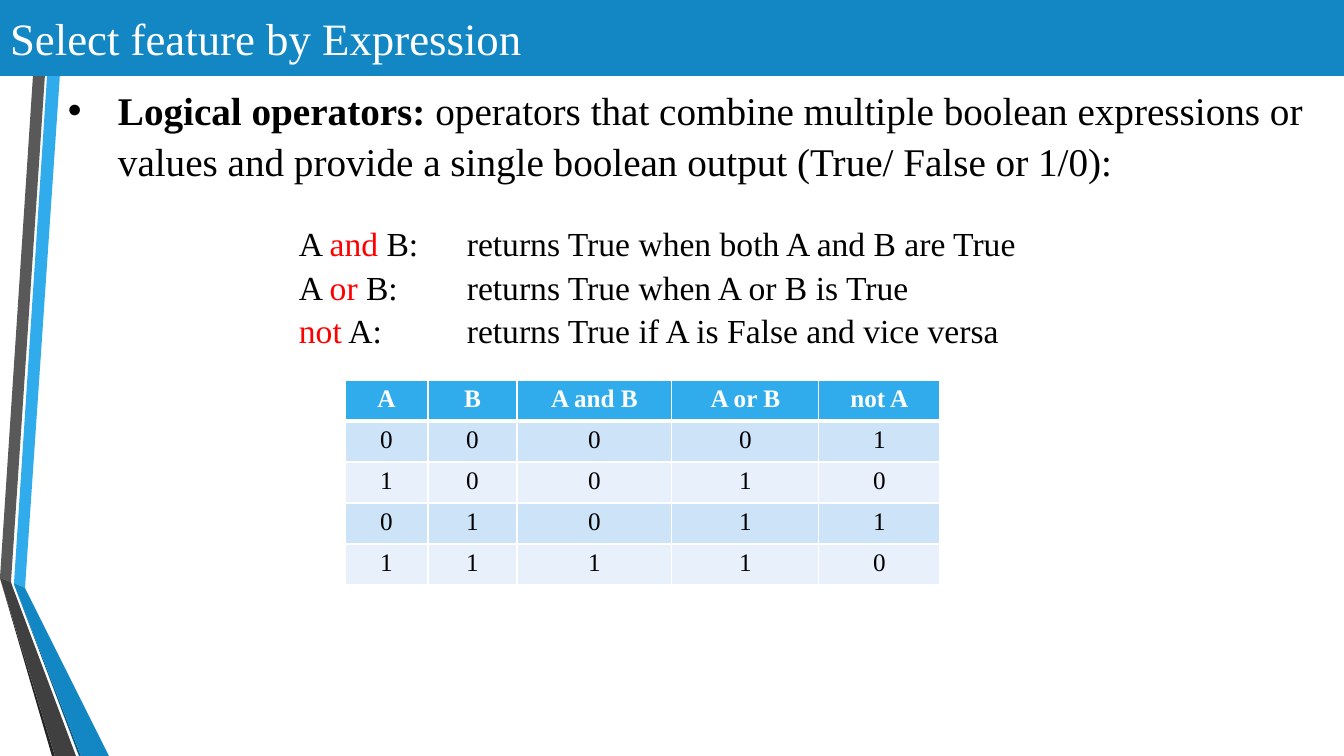
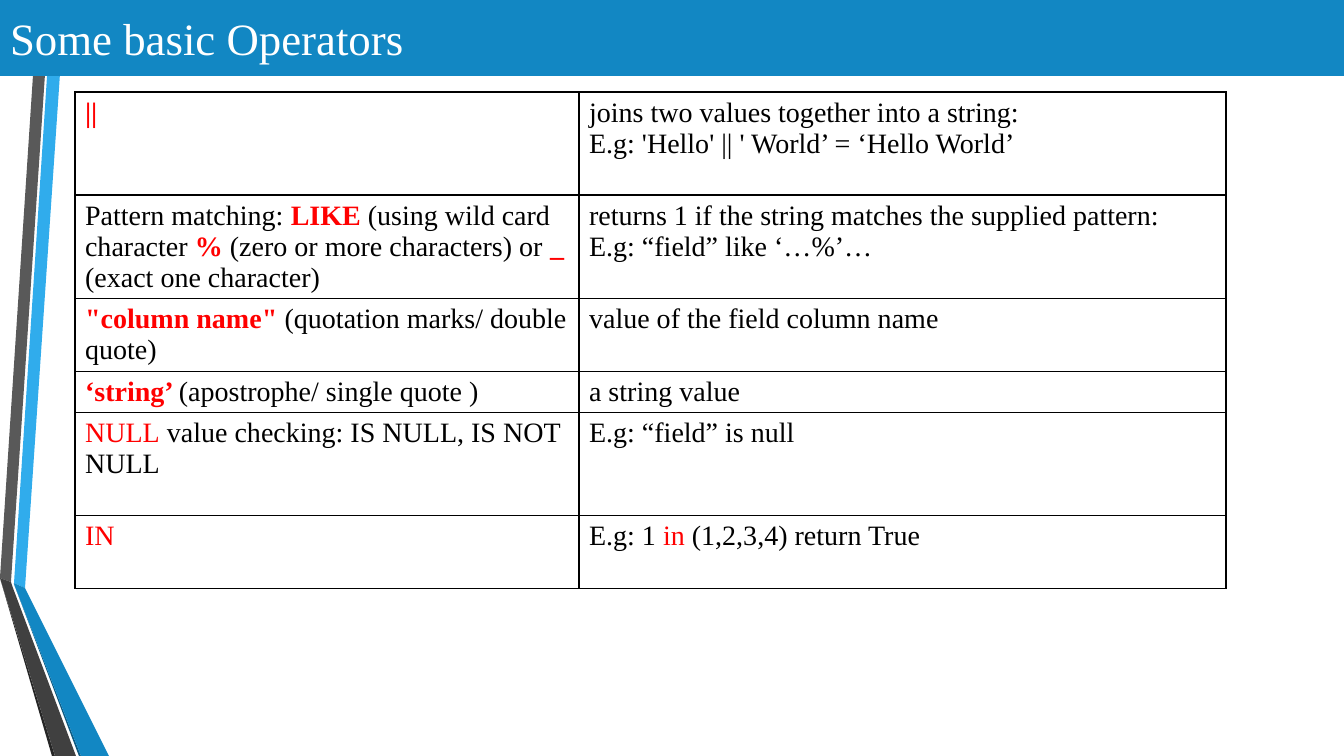
"""Build two slides on logical and basic operators in feature expressions."""
from dataclasses import dataclass

from lxml import etree
from pptx import Presentation
from pptx.dml.color import RGBColor
from pptx.enum.text import MSO_ANCHOR, MSO_AUTO_SIZE, PP_ALIGN
from pptx.oxml.ns import qn
from pptx.util import Emu, Pt

LEFT, CENTER = PP_ALIGN.LEFT, PP_ALIGN.CENTER
MIDDLE = MSO_ANCHOR.MIDDLE
NO_AUTOFIT = MSO_AUTO_SIZE.NONE
PX = 914400 / 100.8


@dataclass(frozen=True)
class Theme:
    font: str = "Times New Roman"
    band: RGBColor = RGBColor(0x12, 0x87, 0xC3)
    band_shade: RGBColor = RGBColor(0x0C, 0x5A, 0x82)
    sky: RGBColor = RGBColor(0x30, 0xAC, 0xEC)
    gray: RGBColor = RGBColor(0x59, 0x59, 0x59)
    dark_gray: RGBColor = RGBColor(0x40, 0x40, 0x40)
    gray_shade: RGBColor = RGBColor(0x26, 0x26, 0x26)
    row_odd: RGBColor = RGBColor(0xCD, 0xE3, 0xF8)
    row_even: RGBColor = RGBColor(0xE8, 0xF1, 0xFB)
    ink: RGBColor = RGBColor(0, 0, 0)
    white: RGBColor = RGBColor(0xFF, 0xFF, 0xFF)
    red: RGBColor = RGBColor(0xFF, 0, 0)
    title_size: int = 32
    lead_size: int = 28
    rule_size: int = 24
    operator_size: int = 20
    truth_size: int = 18
    text_spacing: float = 1.09


THEME = Theme()
PLAIN, BOLD = (THEME.ink, False), (THEME.ink, True)
KEY, KEY_BOLD = (THEME.red, False), (THEME.red, True)
HEADER = (THEME.white, True)
TITLE = (THEME.white, False)


def write(frame, lines, size, align=LEFT, spacing=None):
    """Fill a text frame with lines of (text, style) runs."""
    frame.word_wrap = True
    for index, line in enumerate(lines):
        paragraph = frame.add_paragraph() if index else frame.paragraphs[0]
        paragraph.alignment = align
        paragraph.line_spacing = spacing
        paragraph.font.name = THEME.font
        paragraph.font.size = Pt(size)
        for text, (color, bold) in line:
            run = paragraph.add_run()
            run.text = text
            run.font.color.rgb = color
            run.font.bold = bold


def add_grid(slide, left, top, widths, heights, color, header_rule=1):
    """Add a table with ruled cells and no banding."""
    table = slide.shapes.add_table(
        len(heights), len(widths), Emu(round(left * PX)), Emu(round(top * PX)),
        Emu(round(sum(widths) * PX)), Emu(round(sum(heights) * PX))).table
    table.first_row = table.horz_banding = False
    for column, width in zip(table.columns, widths):
        column.width = Emu(round(width * PX))
    for index, (row, height) in enumerate(zip(table.rows, heights)):
        row.height = Emu(round(height * PX))
        rules = {"L": 1, "R": 1, "T": header_rule if index == 1 else 1,
                 "B": header_rule if index == 0 else 1}
        for cell in row.cells:
            properties = cell._tc.get_or_add_tcPr()
            for side, points in rules.items():
                rule = etree.SubElement(properties, qn(f"a:ln{side}"), w=str(Pt(points)))
                fill = etree.SubElement(rule, qn("a:solidFill"))
                etree.SubElement(fill, qn("a:srgbClr"), val=str(color))
            cell.fill.background()
    return table


prs = Presentation()
prs.slide_width = Emu(round(1344 * PX))
prs.slide_height = Emu(round(756 * PX))
layout = prs.slide_layouts[5]

slides = []
for heading in ("Select feature by Expression", "Some basic Operators"):
    slide = prs.slides.add_slide(layout)
    title = slide.shapes.title
    title.left, title.top = Emu(0), Emu(0)
    title.width, title.height = prs.slide_width, Emu(round(76 * PX))
    title.fill.solid()
    title.fill.fore_color.rgb = THEME.band
    write(title.text_frame, [[(heading, TITLE)]], THEME.title_size)
    title.text_frame.auto_size = NO_AUTOFIT
    title.text_frame.vertical_anchor = MIDDLE
    slides.append(slide)
logic_slide, operator_slide = slides

ribbons = [
    (THEME.sky, [(14, 583), (25, 588), (65, 0), (52, 0)]),
    (THEME.gray, [(50, 0), (38, 0), (0, 578), (11, 582)]),
    (THEME.gray_shade, [(0, 578), (52, 756), (55, 756)]),
    (THEME.band_shade, [(14, 584), (79, 756), (81, 756)]),
    (THEME.band, [(14, 584), (81, 756), (109, 756), (25, 588), (14, 583)]),
    (THEME.dark_gray, [(76, 756), (13, 588), (11, 582), (0, 578), (55, 756)]),
]
for color, (start, *corners) in ribbons:
    outline = logic_slide.shapes.build_freeform(*start, scale=PX)
    outline.add_line_segments(corners, close=True)
    ribbon = outline.convert_to_shape()
    ribbon.shadow.inherit = False
    ribbon.fill.solid()
    ribbon.fill.fore_color.rgb = color
    ribbon.line.fill.background()
    layout.shapes.element.append(ribbon.element)

lead = [[("Logical operators: ", BOLD),
         ("operators that combine multiple boolean expressions or values and provide "
          "a single boolean output (True/ False or 1/0):", PLAIN)]]
rules = [
    [("A ", PLAIN), ("and", KEY), (" B:\treturns True when both A and B are True", PLAIN)],
    [("A ", PLAIN), ("or", KEY), (" B:\treturns True when A or B is True", PLAIN)],
    [("not", KEY), (" A:\treturns True if A is False and vice versa", PLAIN)],
]
frames = []
for lines, size, box in ((lead, THEME.lead_size, (58, 77, 1284, 152)),
                         (rules, THEME.rule_size, (289, 214, 824, 132))):
    frame = logic_slide.shapes.add_textbox(*(Emu(round(v * PX)) for v in box)).text_frame
    write(frame, lines, size, spacing=THEME.text_spacing)
    frames.append(frame)
lead_frame, rules_frame = frames

bullet_properties = lead_frame.paragraphs[0]._p.get_or_add_pPr()
bullet_properties.set("marL", str(round(50 * PX)))
bullet_properties.set("indent", str(round(-50 * PX)))
for tag, attributes in (("a:buFont", {"typeface": "Arial"}), ("a:buChar", {"char": "•"})):
    bullet_properties.insert_element_before(
        etree.Element(qn(tag), attributes), "a:defRPr")
for paragraph in rules_frame.paragraphs:
    tabs = etree.Element(qn("a:tabLst"))
    etree.SubElement(tabs, qn("a:tab"), pos=str(round(168 * PX)), algn="l")
    paragraph._p.get_or_add_pPr().insert_element_before(tabs, "a:defRPr")

truth_rows = [
    ("A", "B", "A and B", "A or B", "not A"),
    "00001",
    "10010",
    "01011",
    "11110",
]
truth_table = add_grid(logic_slide, 345, 380, [83, 89, 155, 147, 121],
                       [41] * len(truth_rows), THEME.white, header_rule=3)
for index, values in enumerate(truth_rows):
    if index == 0:
        row_fill, style = THEME.sky, HEADER
    else:
        row_fill, style = (THEME.row_odd if index % 2 else THEME.row_even), PLAIN
    for cell, value in zip(truth_table.rows[index].cells, values):
        cell.fill.solid()
        cell.fill.fore_color.rgb = row_fill
        write(cell.text_frame, [[(value, style)]], THEME.truth_size, CENTER)

operator_rows = [
    (103, [[("||", KEY_BOLD)]],
     [[("joins two values together into a string:", PLAIN)],
      [("E.g: 'Hello' || ' World’ = ‘Hello World’", PLAIN)]]),
    (103, [[("Pattern matching: ", PLAIN), ("LIKE", KEY_BOLD),
            (" (using wild card character ", PLAIN), ("%", KEY_BOLD),
            (" (zero or more characters) or ", PLAIN), ("_", KEY_BOLD),
            (" (exact one character)", PLAIN)]],
     [[("returns 1 if the string matches the supplied pattern:", PLAIN)],
      [("E.g: “field” like ‘…%’…", PLAIN)]]),
    (73, [[("\"column name\" ", KEY_BOLD), ("(quotation marks/ double quote)", PLAIN)]],
     [[("value of the field column name", PLAIN)]]),
    (41, [[("‘string’ ", KEY_BOLD), ("(apostrophe/ single quote )", PLAIN)]],
     [[("a string value", PLAIN)]]),
    (103, [[("NULL", KEY), (" value checking: IS NULL, IS NOT NULL", PLAIN)]],
     [[("E.g: “field” is null", PLAIN)]]),
    (73, [[("IN", KEY)]],
     [[("E.g: 1 ", PLAIN), ("in", KEY), (" (1,2,3,4) return True", PLAIN)]]),
]
operator_table = add_grid(operator_slide, 75, 92, [504, 647],
                          [height for height, *_ in operator_rows], THEME.ink)
for row, (_, *entries) in zip(operator_table.rows, operator_rows):
    for cell, lines in zip(row.cells, entries):
        write(cell.text_frame, lines, THEME.operator_size)

prs.save("out.pptx")
